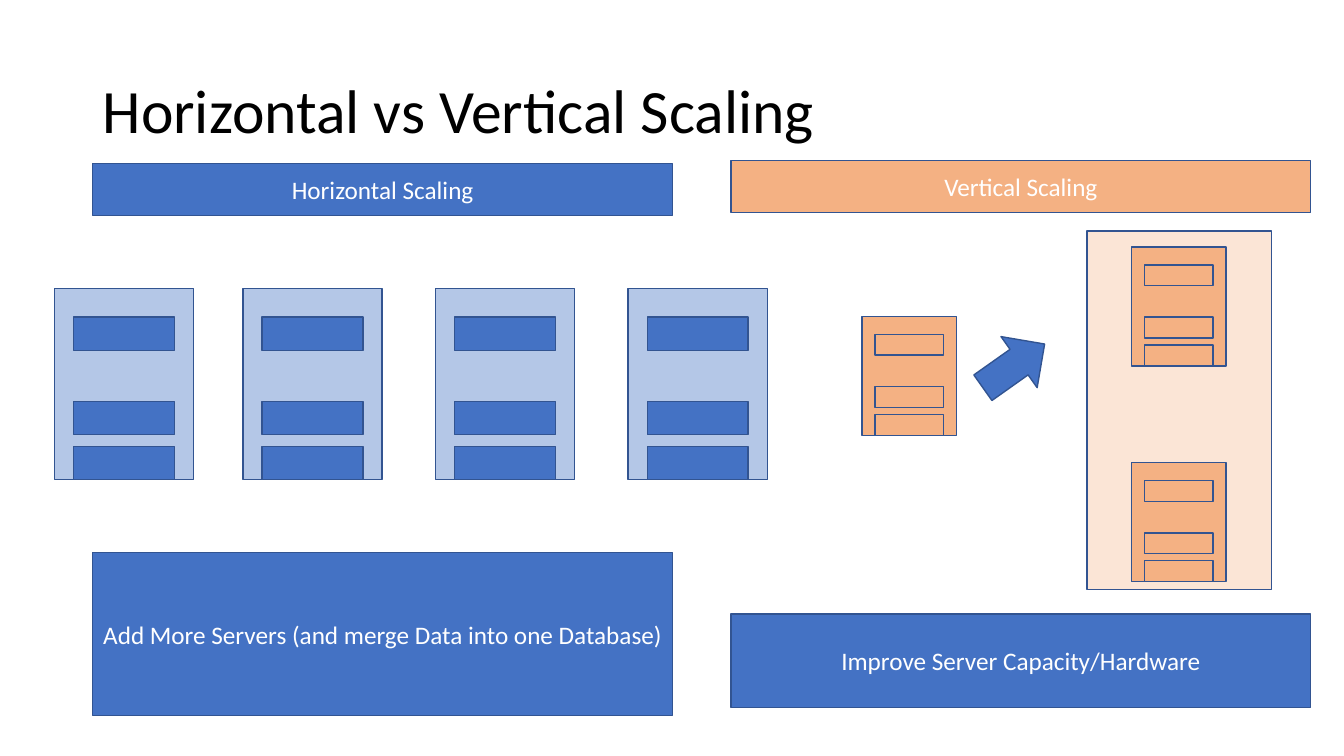
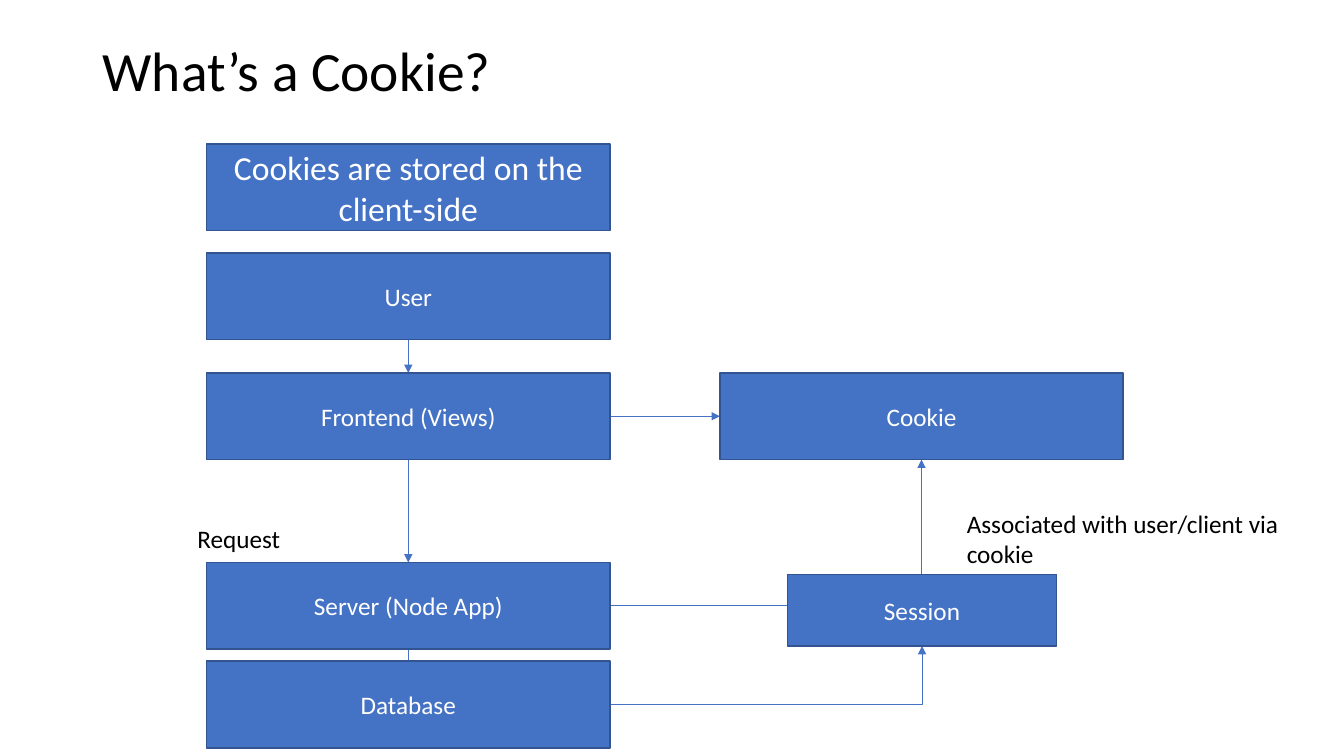
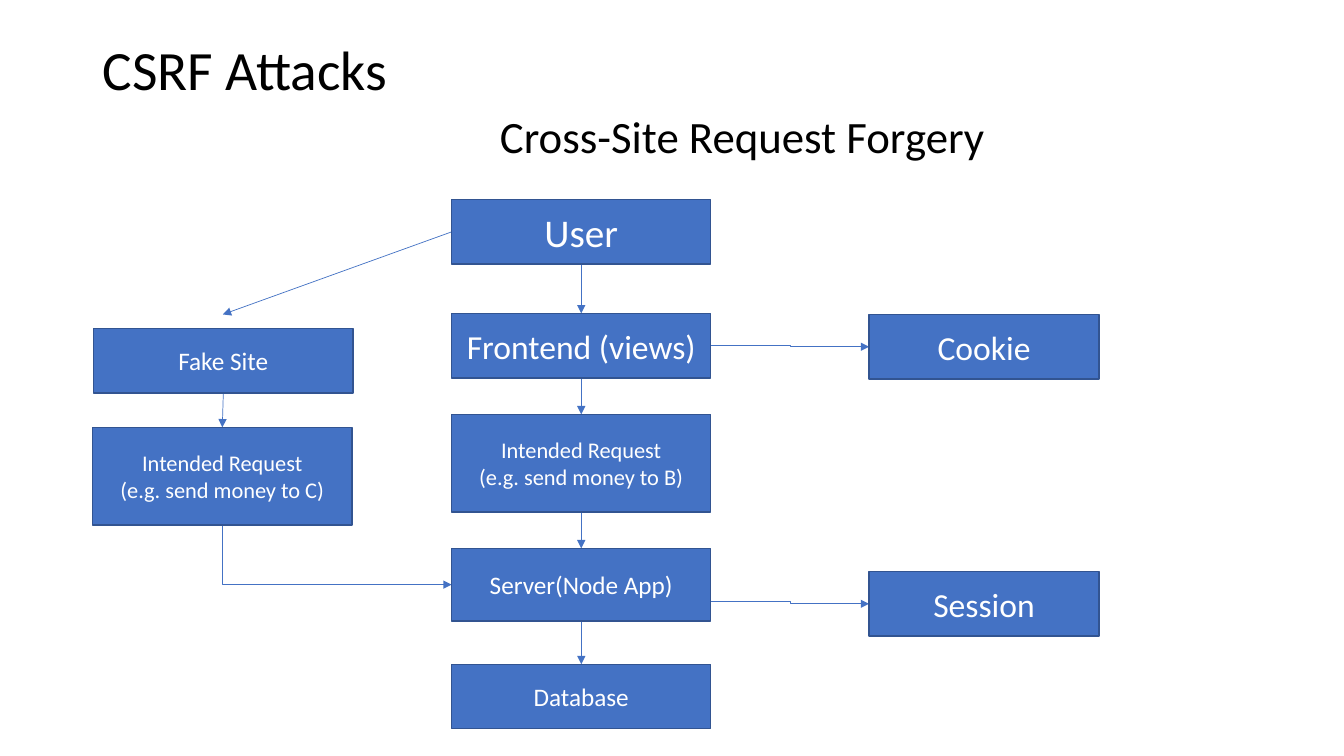
from pptx import Presentation
from pptx.dml.color import RGBColor as RGB
from pptx.enum.shapes import MSO_CONNECTOR as LINE, MSO_SHAPE as SHAPE
from pptx.enum.text import MSO_ANCHOR as ANCHOR, PP_ALIGN as ALIGN
from pptx.oxml.ns import qn
from pptx.util import Inches, Pt
from lxml.etree import SubElement

FONT = "Calibri"
HEX = {"blue": "4472C4", "edge": "325491", "pale": "B4C7E7", "orange": "F4B183",
       "peach": "FBE5D6", "white": "FFFFFF", "black": "000000"}
SLOTS = (0.15, 0.59, 0.825)


def tint(name):
    return RGB.from_string(HEX[name])


def write(frame, text, size, color, align=ALIGN.LEFT, pitch=None):
    for n, line in enumerate(text.split("\n")):
        para = frame.add_paragraph() if n else frame.paragraphs[0]
        para.alignment = align
        if pitch:
            para.line_spacing = pitch
        run = para.add_run()
        run.text = line
        run.font.name = FONT
        run.font.size = Pt(size)
        run.font.color.rgb = tint(color)


def label(slide, box, text, size, wrap=True, anchor=ANCHOR.TOP, pitch=None):
    frame = slide.shapes.add_textbox(*map(Inches, box)).text_frame
    frame.word_wrap = wrap
    frame.vertical_anchor = anchor
    write(frame, text, size, "black", pitch=pitch)


def title(slide, box, text, size=39.6):
    label(slide, box, text, size, anchor=ANCHOR.MIDDLE, pitch=0.9)


def block(slide, box, text="", size=18, fill="blue", kind=SHAPE.RECTANGLE):
    shape = slide.shapes.add_shape(kind, *map(Inches, box))
    shape.shadow.inherit = False
    shape.fill.solid()
    shape.fill.fore_color.rgb = tint(fill)
    shape.line.color.rgb = tint("edge")
    shape.line.width = Pt(1)
    if text:
        frame = shape.text_frame
        frame.word_wrap = True
        frame.vertical_anchor = ANCHOR.MIDDLE
        write(frame, text, size, "white", ALIGN.CENTER)
    return shape


def side(box, name):
    x, y, w, h = box
    return {"top": (x + w / 2, y), "bottom": (x + w / 2, y + h),
            "left": (x, y + h / 2), "right": (x + w, y + h / 2)}[name]


def link(slide, start, end, bend=None, tip="tailEnd"):
    kind = LINE.ELBOW if bend else LINE.STRAIGHT
    line = slide.shapes.add_connector(kind, *map(Inches, start + end))
    line.line.color.rgb = tint("blue")
    line.line.width = Pt(0.5)
    props = line._element.spPr
    if bend:
        props.find(qn("a:prstGeom")).set("prst", bend)
    SubElement(props.find(qn("a:ln")), qn("a:" + tip), type="triangle")
    SubElement(props, qn("a:effectLst"))


def chain(slide, boxes):
    for upper, lower in zip(boxes, boxes[1:]):
        link(slide, side(upper, "bottom"), side(lower, "top"))


def server(slide, box, body, slot):
    x, y, w, h = box
    block(slide, box, fill=body)
    for part in SLOTS:
        block(slide, (x + 0.1375 * w, y + part * h, 0.725 * w, 0.175 * h), fill=slot)


def widen(slide, box):
    x, y, w, h = box
    block(slide, (x, y, w, 0.52), "Horizontal Scaling")
    for left in (-0.38, 1.49, 3.4, 5.31):
        server(slide, (x + left, y + 1.24, 1.38, 1.9), "pale", "blue")
    block(slide, (x, y + h - 1.62, w, 1.62),
          "Add More Servers (and merge Data into one Database)")


def deepen(slide, box):
    x, y, w, h = box
    block(slide, (x + 3.53, y + 0.7, 1.83, 3.56), fill="peach")
    block(slide, (x, y, w, 0.52), "Vertical Scaling", fill="orange")
    for left, top in ((1.3, 1.55), (3.97, 0.86), (3.97, 3)):
        server(slide, (x + left, y + top, 0.94, 1.18), "orange", "orange")
    arrow = block(slide, (x + 2.43, y + 1.73, 0.75, 0.62), kind=SHAPE.RIGHT_ARROW)
    arrow.rotation = 324.7
    block(slide, (x, y + h - 0.93, w, 0.93), "Improve Server Capacity/Hardware")


def cookie(slide, box):
    x, y, w, h = box
    note, user, front, app, data = [(x, y + top, w, h) for top in (0, 1.08, 2.27, 4.15, 5.13)]
    store = (x + 5.09, y + 2.27, w, h)
    state = (x + 5.76, y + 4.27, 2.67, 0.71)
    chain(slide, (user, front, app))
    link(slide, side(app, "bottom"), (x + w / 2, y + 5.28))
    link(slide, side(front, "right"), side(store, "left"))
    link(slide, side(app, "right"), side(store, "bottom"), "bentConnector2")
    link(slide, side(data, "right"), side(state, "bottom"), "bentConnector2")
    block(slide, note, "Cookies are stored on the client-side", 24)
    for place, text in ((user, "User"), (front, "Frontend (Views)"), (store, "Cookie"),
                        (app, "Server (Node App)"), (data, "Database"), (state, "Session")):
        block(slide, place, text)
    label(slide, (x - 0.19, y + 3.71, 1.38, 0.4), "Request", 18)
    label(slide, (x + 7.44, y + 3.56, 3.85, 0.71),
          "Associated with user/client via cookie", 18)


def attack(slide, box):
    x, y, w, h = box
    user, front, send, app, data = [
        (x, y + top, w, tall) for top, tall in
        ((0, h), (1.13, h), (2.13, 0.97), (3.46, 0.72), (4.61, h))]
    fake = (x - 3.55, y + 1.28, w, h)
    theft = (x - 3.56, y + 2.26, w, 0.97)
    store, state = [(x + 4.14, y + top, 2.28, h) for top in (1.14, 3.69)]
    chain(slide, (user, front, send, app, data))
    chain(slide, (fake, theft))
    link(slide, side(user, "left"), (x - 2.27, y + 1.14))
    link(slide, side(app, "left"), side(theft, "bottom"), "bentConnector2", "headEnd")
    link(slide, side(front, "right"), side(store, "left"), "bentConnector3")
    link(slide, (x + w, y + 3.99), side(state, "left"), "bentConnector3")
    for place, text, size in (
            (user, "User", 28), (front, "Frontend (views)", 24),
            (send, "Intended Request\n(e.g. send money to B)", 16),
            (app, "Server(Node App)", 18), (data, "Database", 18),
            (store, "Cookie", 24), (state, "Session", 24), (fake, "Fake Site", 18),
            (theft, "Intended Request\n(e.g. send money to C)", 16)):
        block(slide, place, text, size)


deck = Presentation()
deck.slide_width, deck.slide_height = Inches(13.33), Inches(7.5)
scale, crumb, forge = [deck.slides.add_slide(deck.slide_layouts[6]) for _ in range(3)]

title(scale, (0.92, 0.4, 11.5, 1.45), "Horizontal vs Vertical Scaling", 44)
widen(scale, (0.92, 1.62, 5.75, 5.48))
deepen(scale, (7.25, 1.59, 5.75, 5.43))

title(crumb, (0.92, 0.4, 10.56, 0.65), "What’s a Cookie?")
cookie(crumb, (2.05, 1.43, 4, 0.86))

title(forge, (0.92, 0.4, 11.5, 0.63), "CSRF Attacks")
label(forge, (4.86, 1.03, 5.05, 0.64), "Cross-Site Request Forgery", 32, wrap=False)
attack(forge, (4.48, 1.98, 2.57, 0.64))

deck.save("out.pptx")
